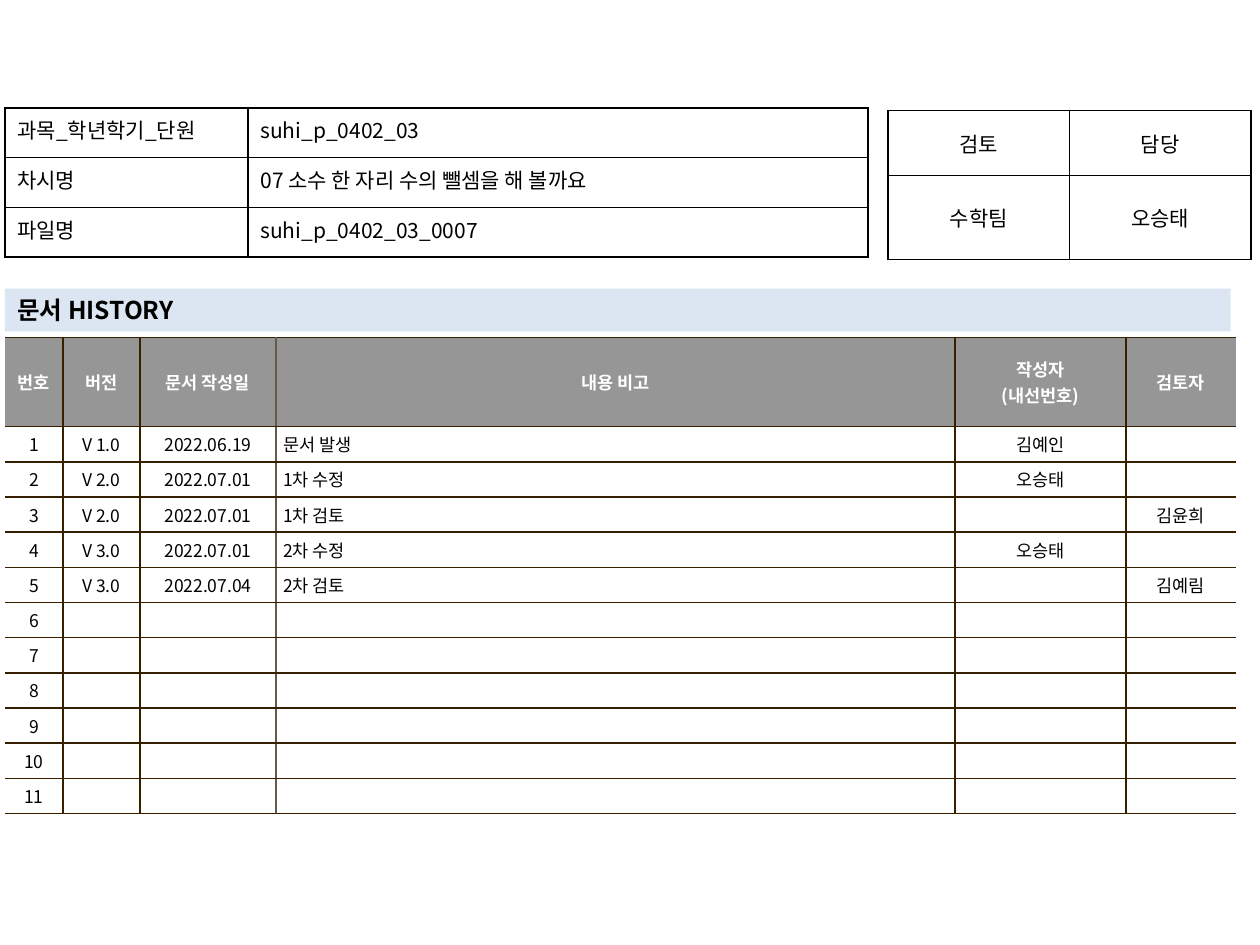
from lxml.etree import SubElement
from pptx import Presentation
from pptx.dml.color import RGBColor
from pptx.enum.shapes import MSO_SHAPE as Shape
from pptx.enum.text import MSO_ANCHOR as Anchor, PP_ALIGN as Align
from pptx.oxml import parse_xml
from pptx.oxml.ns import nsdecls, qn
from pptx.util import Cm, Pt

FONT = "Noto Sans CJK KR"
BLACK, WHITE, GRAY, PALE_BLUE = "000000", "FFFFFF", "969696", "DCE6F2"
BROWN, LIGHT_BROWN = "362000", "645B4C"
LEFT = 0.1

DOCUMENT_ROWS = [
    ("과목_학년학기_단원", "suhi_p_0402_03"),
    ("차시명", "07 소수 한 자리 수의 뺄셈을 해 볼까요"),
    ("파일명", "suhi_p_0402_03_0007"),
]
APPROVAL_ROWS = [("검토", "담당"), ("수학팀", "오승태")]
HISTORY_HEADER = ("번호", "버전", "문서 작성일", "내용 비고", "작성자\n(내선번호)", "검토자")
HISTORY_ENTRIES = [
    ("V 1.0", "2022.06.19", "문서 발생", "김예인", ""),
    ("V 2.0", "2022.07.01", "1차 수정", "오승태", ""),
    ("V 2.0", "2022.07.01", "1차 검토", "", "김윤희"),
    ("V 3.0", "2022.07.01", "2차 수정", "오승태", ""),
    ("V 3.0", "2022.07.04", "2차 검토", "", "김예림"),
]
HISTORY_COUNT = 11
NOTE_COLUMN = 3


def rgb(color):
    return RGBColor.from_string(color)


def write_text(frame, text, size, color=BLACK, bold=False, align=Align.LEFT):
    frame.text = text
    for paragraph in frame.paragraphs:
        paragraph.alignment = align
        font = paragraph.font
        font.name, font.size, font.bold = FONT, Pt(size), bold
        font.color.rgb = rgb(color)
        SubElement(paragraph._p.pPr.find(qn("a:defRPr")), qn("a:ea"), typeface=FONT)
        # Empty cells take their line height from the end mark.
        paragraph._p.get_or_add_endParaRPr().set("sz", str(size * 100))


def set_borders(cell, left, right, top, bottom):
    """Draw the four cell borders; None leaves a side open."""
    sides = {"lnL": left, "lnR": right, "lnT": top, "lnB": bottom}
    for index, (tag, color) in enumerate(sides.items()):
        paint = f'<a:solidFill><a:srgbClr val="{color}"/></a:solidFill>' if color else "<a:noFill/>"
        line = parse_xml(f'<a:{tag} {nsdecls("a")} w="{Pt(1)}">{paint}</a:{tag}>')
        cell._tc.get_or_add_tcPr().insert(index, line)


def set_margins(cell, horizontal, vertical):
    cell.margin_left = cell.margin_right = Cm(horizontal)
    cell.margin_top = cell.margin_bottom = Cm(vertical)


def add_table(slide, left, top, widths, heights):
    shape = slide.shapes.add_table(len(heights), len(widths), Cm(left), Cm(top),
                                   Cm(sum(widths)), Cm(sum(heights)))
    table = shape.table
    table.first_row = table.horz_banding = False
    for column, width in zip(table.columns, widths):
        column.width = Cm(width)
    for row, height in zip(table.rows, heights):
        row.height = Cm(height)
    return table


def add_form(slide, left, top, widths, heights, rows, aligns, anchor):
    """Add a plain black-ruled table."""
    table = add_table(slide, left, top, widths, heights)
    for row, texts in enumerate(rows):
        for column, text in enumerate(texts):
            cell = table.cell(row, column)
            write_text(cell.text_frame, text, 12, align=aligns[column])
            cell.vertical_anchor = anchor
            set_margins(cell, 0.25, 0.13)
            cell.fill.background()
            set_borders(cell, *[BLACK] * 4)


def add_history(slide):
    widths = [1.17, 1.55, 2.74, 13.69, 3.45, 2.21]
    table = add_table(slide, LEFT, 6.8, widths, [1.8] + [0.64] * HISTORY_COUNT)
    blank = ("",) * (len(widths) - 1)
    entries = HISTORY_ENTRIES + [blank] * (HISTORY_COUNT - len(HISTORY_ENTRIES))
    rows = [HISTORY_HEADER] + [(str(number), *entry) for number, entry in enumerate(entries, 1)]
    rules = [None, BROWN, BROWN, LIGHT_BROWN, BROWN, BROWN, None]
    for row, texts in enumerate(rows):
        header = row == 0
        for column, text in enumerate(texts):
            cell = table.cell(row, column)
            is_note = column == NOTE_COLUMN and not header
            write_text(cell.text_frame, text, 10, WHITE if header else BLACK, header,
                       Align.LEFT if is_note else Align.CENTER)
            if is_note:
                properties = cell.text_frame.paragraphs[0]._p.get_or_add_pPr()
                properties.set("marL", str(Cm(0.48)))
                properties.set("indent", str(-Cm(0.48)))
            cell.vertical_anchor = Anchor.MIDDLE
            set_margins(cell, 0.15, 0.1)
            cell.fill.solid()
            cell.fill.fore_color.rgb = rgb(GRAY if header else WHITE)
            set_borders(cell, rules[column], rules[column + 1], BROWN, BROWN)


def add_heading(slide, text):
    shape = slide.shapes.add_shape(Shape.RECTANGLE, Cm(LEFT), Cm(5.82), Cm(24.71), Cm(0.86))
    shape.shadow.inherit = False
    shape.fill.solid()
    shape.fill.fore_color.rgb = rgb(PALE_BLUE)
    shape.line.fill.background()
    shape.text_frame.vertical_anchor = Anchor.MIDDLE
    write_text(shape.text_frame, text, 14, bold=True)


def main():
    presentation = Presentation()
    presentation.slide_width, presentation.slide_height = Cm(25.4), Cm(19.05)
    slide = presentation.slides.add_slide(presentation.slide_layouts[6])
    add_history(slide)
    add_form(slide, 17.9, 2.23, [3.66, 3.66], [1.31, 1.69], APPROVAL_ROWS,
             [Align.CENTER] * 2, Anchor.MIDDLE)
    add_heading(slide, "문서 HISTORY")
    add_form(slide, LEFT, 2.18, [4.9, 12.5], [1] * 3, DOCUMENT_ROWS,
             [Align.JUSTIFY, Align.LEFT], Anchor.TOP)
    presentation.save("out.pptx")


if __name__ == "__main__":
    main()
